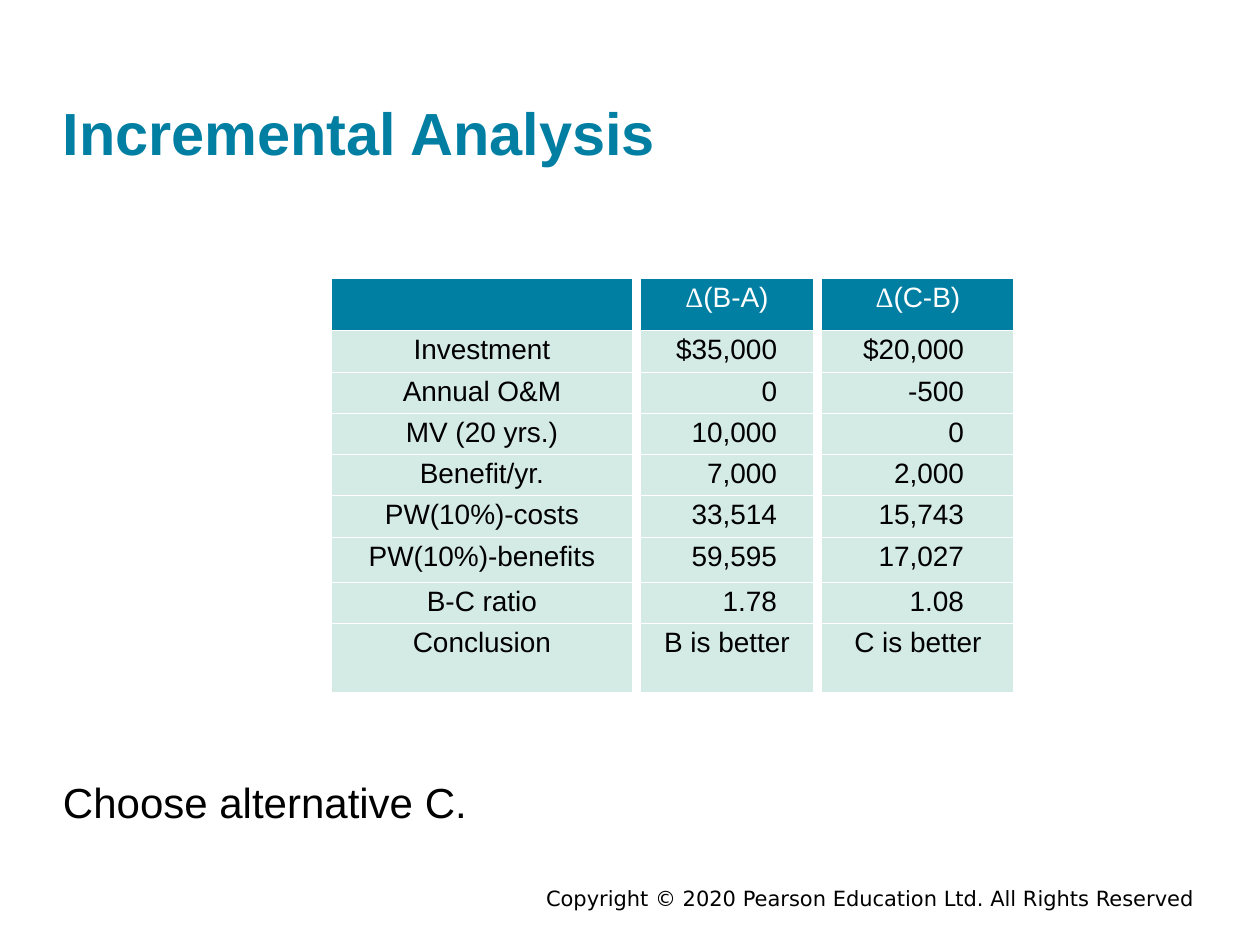
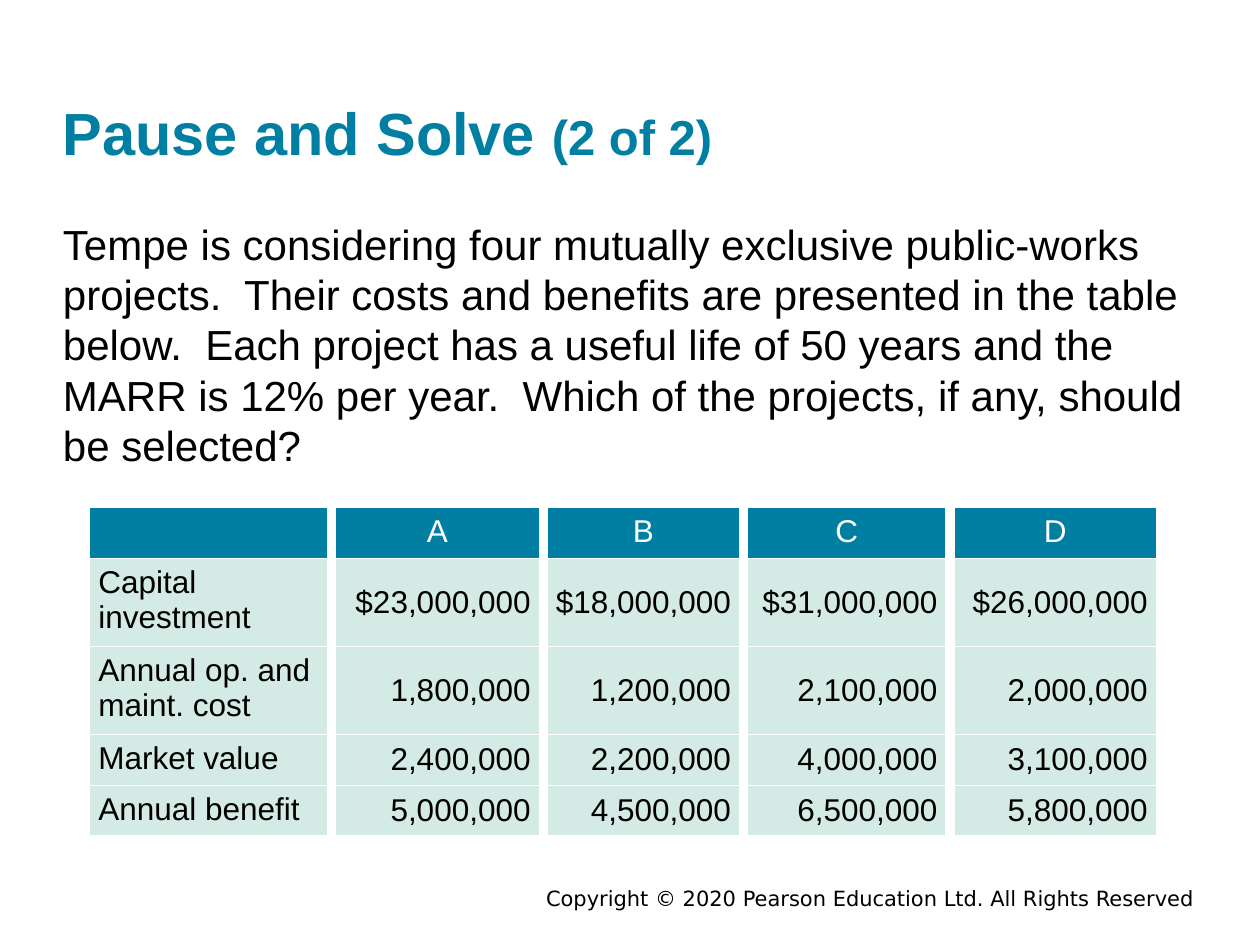
from lxml import etree
from pptx import Presentation
from pptx.dml.color import RGBColor
from pptx.enum.text import MSO_ANCHOR, PP_ALIGN
from pptx.oxml.ns import qn
from pptx.util import Pt

LEFT, MID, RIGHT = PP_ALIGN.LEFT, PP_ALIGN.CENTER, PP_ALIGN.RIGHT
TOP, CENTRE, BOTTOM = MSO_ANCHOR.TOP, MSO_ANCHOR.MIDDLE, MSO_ANCHOR.BOTTOM
TEAL, MINT, WHITE, BLACK = "007FA3", "D4EAE4", "FFFFFF", "000000"
EDGES = {"a:lnL": 6, "a:lnR": 6, "a:lnT": 0.75, "a:lnB": 0.75}


def write(para, parts, color, align=LEFT, bold=False):
    para.alignment = align
    for text, size, face in parts:
        run = para.add_run()
        run.text = text
        run.font.size = Pt(size)
        run.font.name = face
        run.font.bold = bold
        run.font.color.rgb = RGBColor.from_string(color)


def add_text(slide, box, parts, color, align=LEFT, anchor=TOP, bold=False):
    frame = slide.shapes.add_textbox(*map(Pt, box)).text_frame
    frame.word_wrap = True
    frame.margin_left = frame.margin_right = 0
    frame.margin_top = frame.margin_bottom = 0
    frame.vertical_anchor = anchor
    write(frame.paragraphs[0], parts, color, align, bold)
    return frame


pages = [
    {
        "title": [("Incremental Analysis", 34, "Arial")],
        "body": "Choose alternative C.",
        "place": (36, 443.5, 648, 32.4),
        "spot": (187.2, 159.1),
        "size": 16,
        "inset": (4.32, 2.16),
        "ends": [4.32, 23.3, 31],
        "names": MID,
        "anchor": TOP,
        "cols": [176.4, 103.7, 114.5],
        "rows": [30, 21.6, 21.6, 21.6, 21.6, 23.8, 25.9, 21.6, 39.6],
        "cells": [
            ["", "Δ(B-A)", "Δ(C-B)"],
            ["Investment", "$35,000", "$20,000"],
            ["Annual O&M", "0", "-500"],
            ["MV (20 yrs.)", "10,000", "0"],
            ["Benefit/yr.", "7,000", "2,000"],
            ["PW(10%)-costs", "33,514", "15,743"],
            ["PW(10%)-benefits", "59,595", "17,027"],
            ["B-C ratio", "1.78", "1.08"],
            ["Conclusion", "B is better", "C is better"],
        ],
    },
    {
        "title": [("Pause and Solve ", 34, "Arial"), ("(2 of 2)", 28, "Arial")],
        "body": "Tempe is considering four mutually exclusive public-works projects.  "
                "Their costs and benefits are presented in the table below.  "
                "Each project has a useful life of 50 years and the MARR is 12% per year.  "
                "Which of the projects, if any, should be selected?",
        "place": (36, 124.6, 648, 145.4),
        "spot": (49, 290.2),
        "size": 18,
        "inset": (7.2, 3.6),
        "ends": [7.2] * 5,
        "names": LEFT,
        "anchor": CENTRE,
        "cols": [140.4, 121, 114.5, 118, 120.2],
        "rows": [17.3, 45.4, 39.6, 21.6, 21.6],
        "cells": [
            ["", "A", "B", "C", "D"],
            ["Capital investment", "$23,000,000", "$18,000,000", "$31,000,000", "$26,000,000"],
            ["Annual op. and maint. cost", "1,800,000", "1,200,000", "2,100,000", "2,000,000"],
            ["Market value", "2,400,000", "2,200,000", "4,000,000", "3,100,000"],
            ["Annual benefit", "5,000,000", "4,500,000", "6,500,000", "5,800,000"],
        ],
    },
]

deck = Presentation()
deck.slide_width, deck.slide_height = Pt(720), Pt(540)

for page in pages:
    slide = deck.slides.add_slide(deck.slide_layouts[6])
    add_text(slide, (204.5, 506.2, 478, 21.6),
             [("Copyright © 2020 Pearson Education Ltd. All Rights Reserved", 12, "DejaVu Sans")],
             BLACK, RIGHT)
    add_text(slide, (36, 56.2, 648, 39.6), page["title"], TEAL, anchor=BOTTOM, bold=True)
    body = add_text(slide, page["place"], [(page["body"], 24, "Arial")], BLACK)
    body.paragraphs[0].line_spacing = Pt(28.8)

    cols, rows, cells = page["cols"], page["rows"], page["cells"]
    left, top = page["spot"]
    grid = slide.shapes.add_table(len(rows), len(cols), Pt(left), Pt(top),
                                  Pt(sum(cols)), Pt(sum(rows))).table
    for col, width in zip(grid.columns, cols):
        col.width = Pt(width)
    for row, height in zip(grid.rows, rows):
        row.height = Pt(height)

    side, rim = page["inset"]
    for r, line in enumerate(cells):
        for c, text in enumerate(line):
            cell = grid.cell(r, c)
            props = cell._tc.get_or_add_tcPr()
            for tag, width in EDGES.items():
                edge = etree.SubElement(props, qn(tag), w=str(Pt(width)))
                paint = etree.SubElement(edge, qn("a:solidFill"))
                etree.SubElement(paint, qn("a:srgbClr"), val=WHITE)
            cell.fill.solid()
            cell.fill.fore_color.rgb = RGBColor.from_string(MINT if r else TEAL)
            cell.margin_left = cell.margin_right = Pt(side)
            cell.margin_top = cell.margin_bottom = Pt(rim)
            if not text:
                continue
            align = MID
            if r and c == 0:
                align = page["names"]
            elif r and not text.endswith("better"):
                align = RIGHT
                cell.margin_right = Pt(page["ends"][c])
                cell.vertical_anchor = page["anchor"]
            parts = [(text, page["size"], "Arial")]
            if text.startswith("Δ"):
                parts = [("Δ", page["size"], "Times New Roman"),
                         (text[1:], page["size"], "Arial")]
            write(cell.text_frame.paragraphs[0], parts, BLACK if r else WHITE, align)

deck.save("out.pptx")
